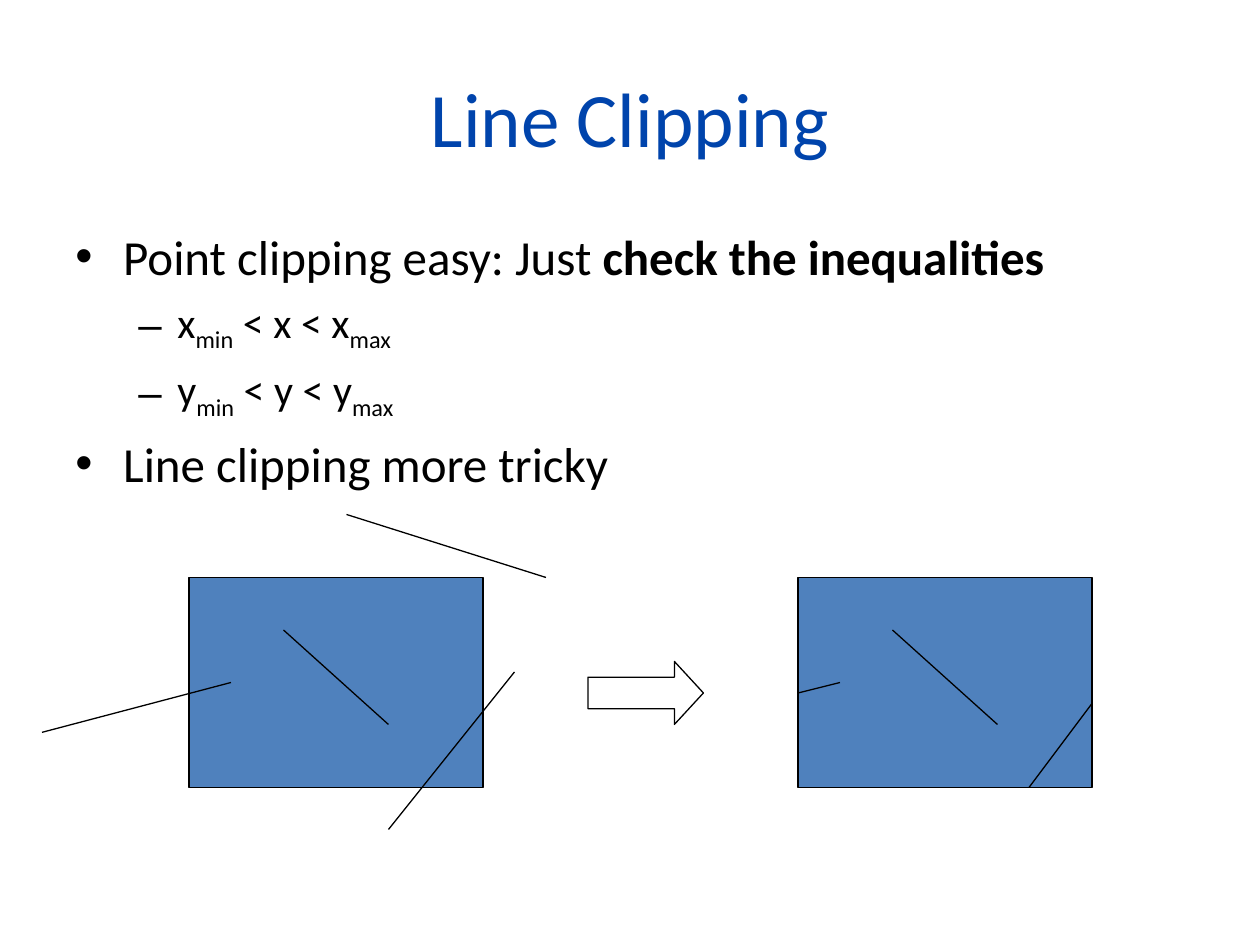
from pptx import Presentation, util as u
from pptx.dml.color import RGBColor
from pptx.enum import shapes, text
from pptx.oxml.ns import qn
from lxml import etree

BLUE = RGBColor(0x00, 0x44, 0xAC)
FILL = RGBColor(0x4F, 0x81, 0xBD)
BLACK = RGBColor(0, 0, 0)
FONT = "Calibri"
COLS, ROWS = 120, 90
WIDTH, HEIGHT = u.Inches(10), u.Inches(7.5)

LEVELS = [("•", 0.38, -0.38, 28, 7), ("–", 0.81, -0.31, 24, 6)]
BULLETS = [
    (0, [("Point clipping easy: Just ", ""), ("check the inequalities", "bold")]),
    (1, [("x", ""), ("min", "sub"), (" < x < x", ""), ("max", "sub")]),
    (1, [("y", ""), ("min", "sub"), (" < y < y", ""), ("max", "sub")]),
    (0, [("Line clipping more tricky", "")]),
]
UNCLIPPED = [(-14, 14.75, 4, 10), (9, 5, 19, 14), (15, -6, 34, 0), (19, 24, 31, 9)]
CLIPPED = [(0, 11, 4, 10), (9, 5, 19, 14), (22, 20, 28, 12)]


def grid(*cells):
    return [int(c * (HEIGHT / ROWS if i % 2 else WIDTH / COLS)) for i, c in enumerate(cells)]


def add_text_box(s, box, anchor):
    tf = s.shapes.add_textbox(*grid(*box)).text_frame
    tf.word_wrap = True
    tf.vertical_anchor = anchor
    return tf


def format_run(r, size, color):
    r.font.name = FONT
    r.font.size = u.Pt(size)
    r.font.color.rgb = color


def add_title(s, box):
    tf = add_text_box(s, box, text.MSO_ANCHOR.MIDDLE)
    tf.text = "Line Clipping"
    p = tf.paragraphs[0]
    p.alignment = text.PP_ALIGN.CENTER
    format_run(p.runs[0], 44, BLUE)


def add_bullets(s, box):
    tf = add_text_box(s, box, text.MSO_ANCHOR.TOP)
    for i, (level, parts) in enumerate(BULLETS):
        mark, margin, indent, size, before = LEVELS[level]
        p = tf.add_paragraph() if i else tf.paragraphs[0]
        pPr = p._p.get_or_add_pPr()
        pPr.set("marL", str(u.Inches(margin)))
        pPr.set("indent", str(u.Inches(indent)))
        etree.SubElement(pPr, qn("a:buFont")).set("typeface", "Arial")
        etree.SubElement(pPr, qn("a:buChar")).set("char", mark)
        p.level = level
        p.space_before = u.Pt(before if i else 0)
        for content, style in parts:
            r = p.add_run()
            r.text = content
            format_run(r, size, BLACK)
            r.font.bold = style == "bold"
            if style == "sub":
                r._r.get_or_add_rPr().set("baseline", "-25000")


def set_outline(line):
    line.color.rgb = BLACK
    line.width = u.Pt(0.75)


def add_clip_window(s, box, segments):
    sp = s.shapes.add_shape(shapes.MSO_SHAPE.RECTANGLE, *grid(*box))
    sp.shadow.inherit = False
    sp.fill.solid()
    sp.fill.fore_color.rgb = FILL
    set_outline(sp.line)
    left, top = box[:2]
    for x1, y1, x2, y2 in segments:
        ends = grid(left + x1, top + y1, left + x2, top + y2)
        segment = s.shapes.add_connector(shapes.MSO_CONNECTOR.STRAIGHT, *ends)
        set_outline(segment.line)
        etree.SubElement(segment._element.spPr, qn("a:effectLst"))


def add_arrow(s, box):
    sp = s.shapes.add_shape(shapes.MSO_SHAPE.RIGHT_ARROW, *grid(*box))
    sp.adjustments[0] = 0.5
    sp.adjustments[1] = 0.46
    sp.shadow.inherit = False
    sp.fill.background()
    set_outline(sp.line)


def main():
    prs = Presentation()
    prs.slide_width, prs.slide_height = WIDTH, HEIGHT
    s = prs.slides.add_slide(prs.slide_layouts[6])
    add_title(s, (6, 3.6, 108, 15))
    add_bullets(s, (6, 21, 108, 29))
    add_clip_window(s, (18, 55, 28, 20), UNCLIPPED)
    add_clip_window(s, (76, 55, 28, 20), CLIPPED)
    add_arrow(s, (56, 63, 11, 6))
    prs.save("out.pptx")


if __name__ == "__main__":
    main()
